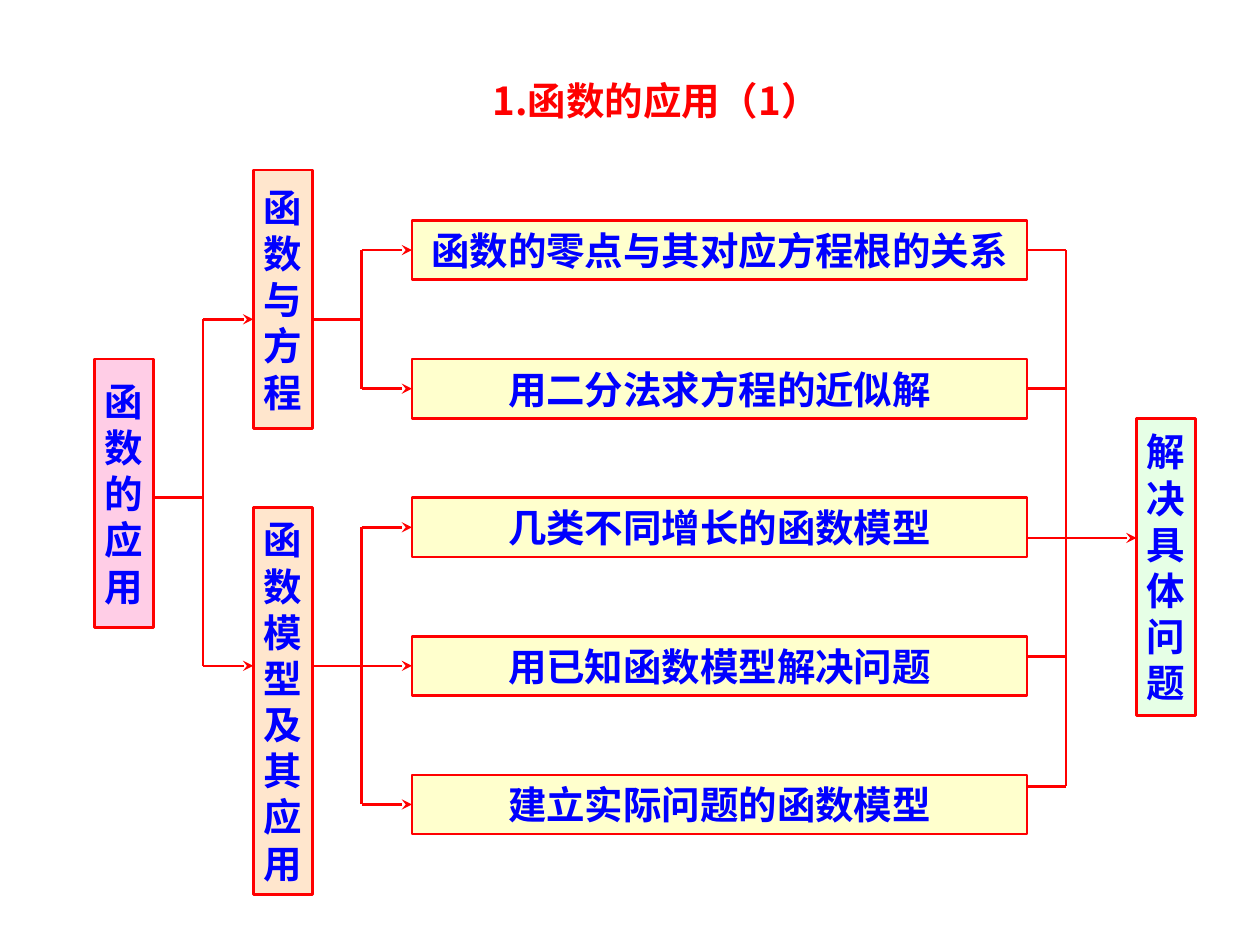
"""Build a slide mapping the applications of functions as a flow of linked boxes."""
from dataclasses import dataclass
from typing import Optional

from lxml import etree
from pptx import Presentation
from pptx.dml.color import RGBColor
from pptx.enum.shapes import MSO_CONNECTOR, MSO_SHAPE
from pptx.enum.text import MSO_ANCHOR, PP_ALIGN
from pptx.oxml.ns import qn
from pptx.shapes.autoshape import Shape
from pptx.slide import Slide
from pptx.util import Inches, Pt

RECTANGLE = MSO_SHAPE.RECTANGLE
STRAIGHT = MSO_CONNECTOR.STRAIGHT
MIDDLE = MSO_ANCHOR.MIDDLE
CENTER, LEFT = PP_ALIGN.CENTER, PP_ALIGN.LEFT
LEFT_SIDE, RIGHT_SIDE = 1, 3

COLORS = {"red": "FF0000", "blue": "0000FF", "pink": "FF99CC",
          "orange": "FFCC99", "yellow": "FFFF99", "green": "CCFFCC"}
LATIN_FONT, CHINESE_FONT = "Arial", "Noto Sans CJK SC"
FONT_SIZE, LINE_PITCH = Pt(22), Pt(26.4)
OPACITY = 49000
BOX_SIZE = 0.47
TOPIC_LEFT, TOPIC_TOP, TOPIC_WIDTH, TOPIC_PITCH = 3.27, 1.75, 4.88, 1.1
ROOT_RIGHT, ROOT_SPINE, BRANCH_LEFT = 1.22, 1.61, 2.01
BRANCH_RIGHT, BRANCH_SPINE = 2.48, 2.87
TOPIC_RIGHT, RESULT_SPINE, RESULT_LEFT = 8.15, 8.46, 9.02


@dataclass(frozen=True)
class Column:
    """A narrow box whose text runs downwards, one character a line."""
    text: str
    left: float
    top: float
    height: float
    color: str


@dataclass(frozen=True)
class Link:
    """A straight line, optionally with an arrowhead and joined boxes."""
    x1: float
    y1: float
    x2: float
    y2: float
    arrow: bool = False
    source: Optional[Shape] = None
    target: Optional[Shape] = None


COLUMNS = [
    Column("函数的应用", 0.75, 2.85, 2.13, "pink"),
    Column("函数与方程", BRANCH_LEFT, 1.35, 2.05, "orange"),
    Column("函数模型及其应用", BRANCH_LEFT, 4.03, 3.07, "orange"),
    Column("解决具体问题", RESULT_LEFT, 3.32, 2.36, "green"),
]
TOPICS = ["函数的零点与其对应方程根的关系", "用二分法求方程的近似解",
          "几类不同增长的函数模型", "用已知函数模型解决问题", "建立实际问题的函数模型"]


def rgb(name: str) -> RGBColor:
    """Look up a named colour."""
    return RGBColor.from_string(COLORS[name])


def style_text(shape: Shape, font_name: str, color: str, align: PP_ALIGN) -> None:
    """Format every run of a shape in bold."""
    for para in shape.text_frame.paragraphs:
        para.alignment = align
        for span in para.runs:
            span.font.name = font_name
            span.font.size = FONT_SIZE
            span.font.bold = True
            span.font.color.rgb = rgb(color)
            east_asian = etree.Element(qn("a:ea"), typeface=CHINESE_FONT)
            span.font._element.find(qn("a:latin")).addnext(east_asian)


def add_title(page: Slide, text: str) -> None:
    """Place and format the title placeholder."""
    title = page.shapes.title
    title.left, title.top = Inches(3.81), Inches(0.56)
    title.width, title.height = Inches(3.57), Inches(BOX_SIZE)
    title.text_frame.text = text
    title.text_frame.vertical_anchor = MIDDLE
    style_text(title, CHINESE_FONT, "red", LEFT)


def add_box(page: Slide, text: str, left: float, top: float,
            width: float, height: float, color: str) -> Shape:
    """Draw a translucent rectangle with centred text."""
    box = page.shapes.add_shape(RECTANGLE, Inches(left), Inches(top),
                                Inches(width), Inches(height))
    box.shadow.inherit = False
    box.fill.solid()
    box.fill.fore_color.rgb = rgb(color)
    fill_color = box._element.spPr.find(qn("a:solidFill"))[0]
    etree.SubElement(fill_color, qn("a:alpha"), val=str(OPACITY))
    box.line.color.rgb = rgb("red")
    box.line.width = Pt(1.5)
    box.text_frame.text = text
    box.text_frame.word_wrap = False
    box.text_frame.vertical_anchor = MIDDLE
    style_text(box, LATIN_FONT, "blue", CENTER)
    return box


def add_column(page: Slide, column: Column) -> None:
    """Draw a box with one character in each paragraph."""
    box = add_box(page, "\n".join(column.text), column.left, column.top,
                  BOX_SIZE, column.height, column.color)
    for para in box.text_frame.paragraphs:
        para.line_spacing = LINE_PITCH


def add_link(page: Slide, link: Link) -> None:
    """Draw a red connector."""
    line = page.shapes.add_connector(STRAIGHT, Inches(link.x1), Inches(link.y1),
                                     Inches(link.x2), Inches(link.y2))
    line.line.color.rgb = rgb("red")
    line.line.width = Pt(1.5)
    if link.arrow:
        etree.SubElement(line.line._get_or_add_ln(), qn("a:tailEnd"), type="stealth")
    etree.SubElement(line._element.spPr, qn("a:effectLst"))
    if link.source is not None:
        line.begin_connect(link.source, RIGHT_SIDE)
    if link.target is not None:
        line.end_connect(link.target, LEFT_SIDE)


def plan_links(topics: list[Shape], rows: list[float]) -> list[Link]:
    """List the lines from the root through the branches and topics to the result."""
    root_y, result_y = 3.95, 4.27
    upper_y, lower_y = (rows[0] + rows[1]) / 2, rows[3]
    links = [
        Link(ROOT_RIGHT, root_y, ROOT_SPINE, root_y),
        Link(ROOT_SPINE, upper_y, ROOT_SPINE, lower_y),
        Link(BRANCH_SPINE, rows[0], BRANCH_SPINE, rows[1]),
        Link(BRANCH_SPINE, rows[2], BRANCH_SPINE, rows[4]),
        Link(RESULT_SPINE, rows[0], RESULT_SPINE, 6.24),
        Link(TOPIC_RIGHT, result_y, RESULT_LEFT, result_y, arrow=True),
    ]
    for y in (upper_y, lower_y):
        links.append(Link(ROOT_SPINE, y, BRANCH_LEFT, y, arrow=True))
        links.append(Link(BRANCH_RIGHT, y, BRANCH_SPINE, y))
    for topic, y in zip(topics, rows):
        links.append(Link(BRANCH_SPINE, y, TOPIC_LEFT, y, arrow=True, target=topic))
    for topic, y in zip(topics[:2], rows):
        links.append(Link(TOPIC_RIGHT, y, RESULT_SPINE, y, source=topic))
    for y in (5.21, 6.24):
        links.append(Link(TOPIC_RIGHT, y, RESULT_SPINE, y))
    return links


def main() -> None:
    """Build and save the deck."""
    deck = Presentation()
    deck.slide_width, deck.slide_height = Inches(10), Inches(7.5)
    page = deck.slides.add_slide(deck.slide_layouts[5])
    add_title(page, "1.函数的应用（1）")
    for column in COLUMNS:
        add_column(page, column)
    tops = [TOPIC_TOP + TOPIC_PITCH * index for index in range(len(TOPICS))]
    topics = [add_box(page, text, TOPIC_LEFT, top, TOPIC_WIDTH, BOX_SIZE, "yellow")
              for text, top in zip(TOPICS, tops)]
    rows = [top + BOX_SIZE / 2 for top in tops]
    for link in plan_links(topics, rows):
        add_link(page, link)
    deck.save("out.pptx")


if __name__ == "__main__":
    main()
